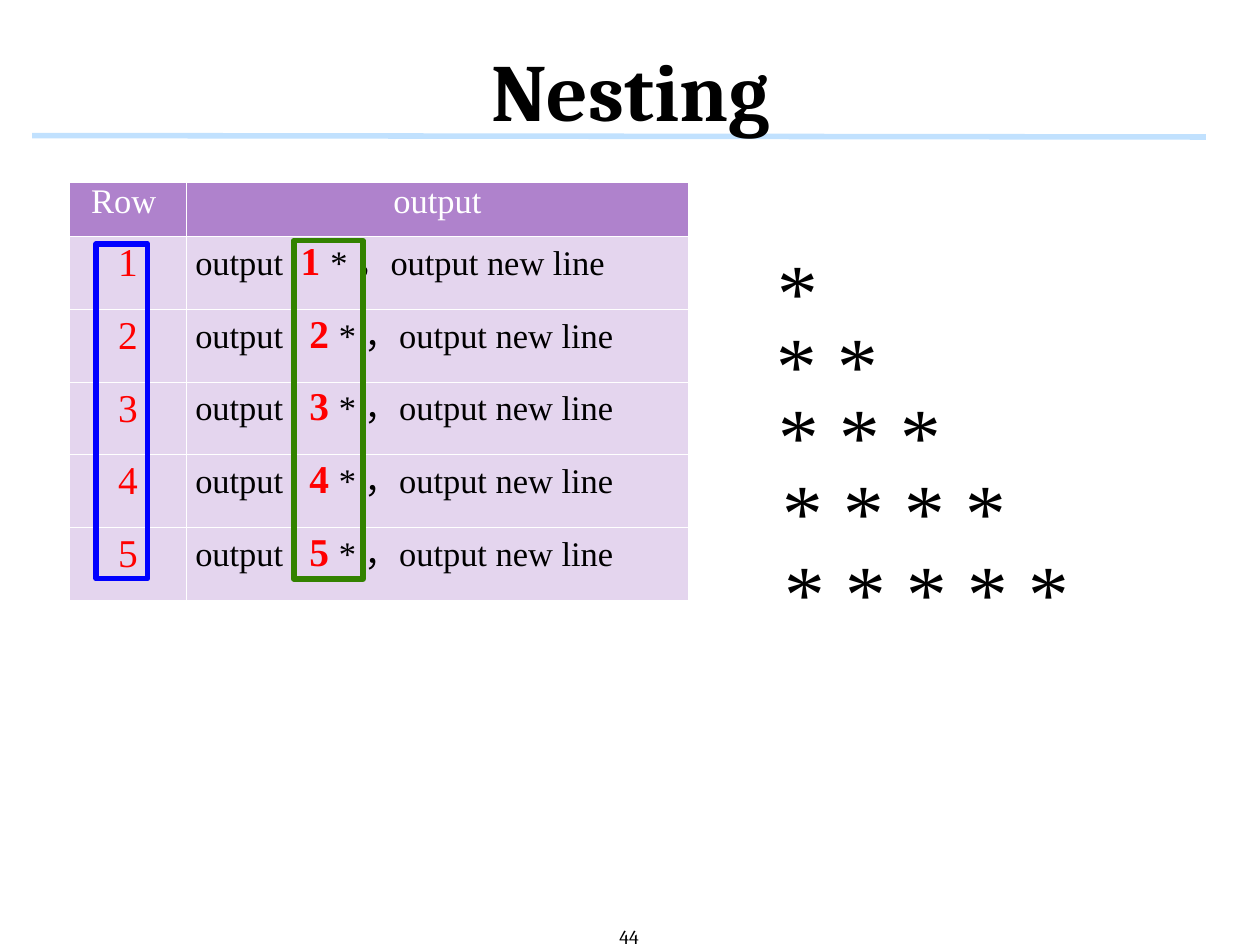
"""Build the slide on nesting: a row and output table beside a star triangle."""
from lxml.etree import SubElement
from pptx import Presentation
from pptx.dml.color import RGBColor
from pptx.enum.shapes import MSO_CONNECTOR, MSO_SHAPE
from pptx.enum.text import MSO_ANCHOR, PP_ALIGN
from pptx.oxml.ns import qn
from pptx.util import Pt

TITLE = "Nesting"
PAGE_NUMBER = "44"
HEADINGS = ("Row ", "output")
ROW_NUMBERS = (1, 2, 3, 4, 5)
OUTPUT_START = "output\t"
OUTPUT_END = "* ，output new line"

THEME = {
    "serif": "Times New Roman", "heading": "Cambria",
    "black": "000000", "white": "FFFFFF", "red": "FF0000",
    "rule": "C1E1FE", "header": "AF82CC", "body": "E4D5EE",
    "green": "338200", "blue": "0000FF",
    "title": 66, "star": 66, "number": 32, "text": 28, "page": 16,
    "heavy": 4.5, "hairline": 1,
}

SLIDE_SIZE = (1023.84, 768.24)
RULE = (26.2, 110.2, 979.9, 111.4)
TITLE_AREA = (0.7, 4.2, 1023, 120.2)
PAGE_AREA = (499.7, 749, 23, 25.2)
TABLE_ORIGIN = (56.5, 148.3)
COLUMN_WIDTHS = (95, 408)
HEADER_HEIGHT, ROW_HEIGHT = 44.2, 59.1
HEADER_SPACING, ROW_SPACING = 18, 20
NUMBER_TABS = (85.7, 92.7, 92.7, 92.7, 92.7)
COUNT_FRAME = (238.7, 195.6, 56.2, 275)
ROW_FRAME = (78.2, 198.2, 41.8, 272.2)
STAR_AREAS = (
    (624.6, 212.7, 149.8, 44.6, MSO_ANCHOR.MIDDLE),
    (624.2, 251.5, 302.4, 39.6, MSO_ANCHOR.TOP),
    (625.4, 308.6, 302.4, 66.2, MSO_ANCHOR.TOP),
    (628.9, 370.8, 302.4, 55.4, MSO_ANCHOR.TOP),
    (630.7, 436.3, 353.5, 62.6, MSO_ANCHOR.TOP),
)


def color(name):
    return RGBColor.from_string(THEME[name])


def apply(target, formats):
    for name, value in formats.items():
        setattr(target, name, value)


def write(paragraph, text, size, ink="black", font="serif", bold=False):
    run = paragraph.add_run()
    run.text = text
    apply(run.font, {"name": THEME[font], "size": Pt(THEME[size]), "bold": bold})
    run.font.color.rgb = color(ink)


def add_text(slide, area, text, size, font="serif", anchor=MSO_ANCHOR.MIDDLE,
             wrap=True, inset=None, bold=False, **layout):
    frame = slide.shapes.add_textbox(*map(Pt, area)).text_frame
    apply(frame, {"word_wrap": wrap, "vertical_anchor": anchor})
    if inset is not None:
        sides = ("left", "top", "right", "bottom")
        apply(frame, {f"margin_{side}": Pt(inset) for side in sides})
    paragraph = frame.paragraphs[0]
    apply(paragraph, layout)
    write(paragraph, text, size, font=font, bold=bold)


def add_rule(slide):
    rule = slide.shapes.add_connector(MSO_CONNECTOR.STRAIGHT, *map(Pt, RULE))
    rule.line.width = Pt(THEME["heavy"])
    rule.line.color.rgb = color("rule")
    SubElement(rule._element.spPr, qn("a:effectLst"))


def add_frame(slide, area, ink):
    frame = slide.shapes.add_shape(MSO_SHAPE.RECTANGLE, *map(Pt, area))
    frame.shadow.inherit = False
    frame.fill.background()
    frame.line.width = Pt(THEME["heavy"])
    frame.line.color.rgb = color(ink)


def style_cell(cell, fill, spacing=ROW_SPACING):
    properties = cell._tc.get_or_add_tcPr()
    for side in ("lnL", "lnR", "lnT", "lnB"):
        width = str(Pt(THEME["hairline"]))
        border = SubElement(properties, qn(f"a:{side}"), w=width)
        solid = SubElement(border, qn("a:solidFill"))
        SubElement(solid, qn("a:srgbClr"), val=THEME["white"])
    cell.fill.solid()
    cell.fill.fore_color.rgb = color(fill)
    cell.vertical_anchor = MSO_ANCHOR.MIDDLE
    paragraph = cell.text_frame.paragraphs[0]
    paragraph.line_spacing = Pt(spacing)
    return paragraph


def add_output_table(slide):
    heights = [HEADER_HEIGHT] + [ROW_HEIGHT] * len(ROW_NUMBERS)
    size = (sum(COLUMN_WIDTHS), sum(heights))
    table = slide.shapes.add_table(len(heights), len(COLUMN_WIDTHS),
                                   *map(Pt, TABLE_ORIGIN + size)).table
    for column, width in zip(table.columns, COLUMN_WIDTHS):
        column.width = Pt(width)
    for row, height in zip(table.rows, heights):
        row.height = Pt(height)
    for index, heading in enumerate(HEADINGS):
        paragraph = style_cell(table.cell(0, index), "header", HEADER_SPACING)
        paragraph.alignment = PP_ALIGN.CENTER
        write(paragraph, heading, "text", "white")
    for number, tab in zip(ROW_NUMBERS, NUMBER_TABS):
        row_label = style_cell(table.cell(number, 0), "body")
        row_label.alignment = PP_ALIGN.CENTER
        write(row_label, str(number), "number", "red")
        output = style_cell(table.cell(number, 1), "body")
        tabs = SubElement(output._p.get_or_add_pPr(), qn("a:tabLst"))
        SubElement(tabs, qn("a:tab"), pos=str(Pt(tab)), algn="l")
        write(output, OUTPUT_START, "text")
        write(output, f"{number} ", "number", "red", bold=True)
        write(output, OUTPUT_END, "text")


def main():
    deck = Presentation()
    deck.slide_width, deck.slide_height = map(Pt, SLIDE_SIZE)
    slide = deck.slides.add_slide(deck.slide_layouts[6])
    add_rule(slide)
    add_text(slide, TITLE_AREA, TITLE, "title", "heading", inset=0, bold=True,
             alignment=PP_ALIGN.CENTER, line_spacing=Pt(96))
    add_text(slide, PAGE_AREA, PAGE_NUMBER, "page", "heading", wrap=False, inset=2.9,
             alignment=PP_ALIGN.CENTER, line_spacing=Pt(19))
    add_output_table(slide)
    add_frame(slide, COUNT_FRAME, "green")
    for number, (*area, anchor) in zip(ROW_NUMBERS, STAR_AREAS):
        add_text(slide, area, " ".join("*" * number), "star", anchor=anchor)
    add_frame(slide, ROW_FRAME, "blue")
    deck.save("out.pptx")


if __name__ == "__main__":
    main()
